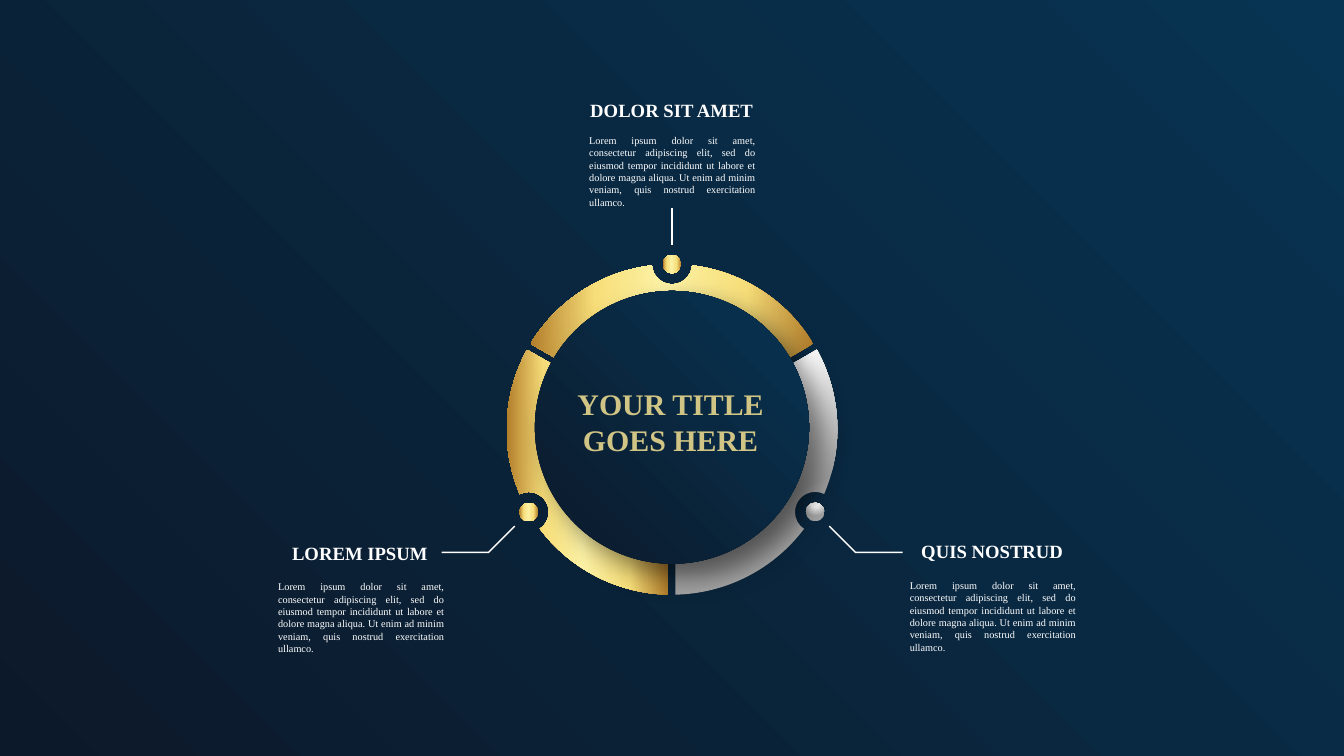
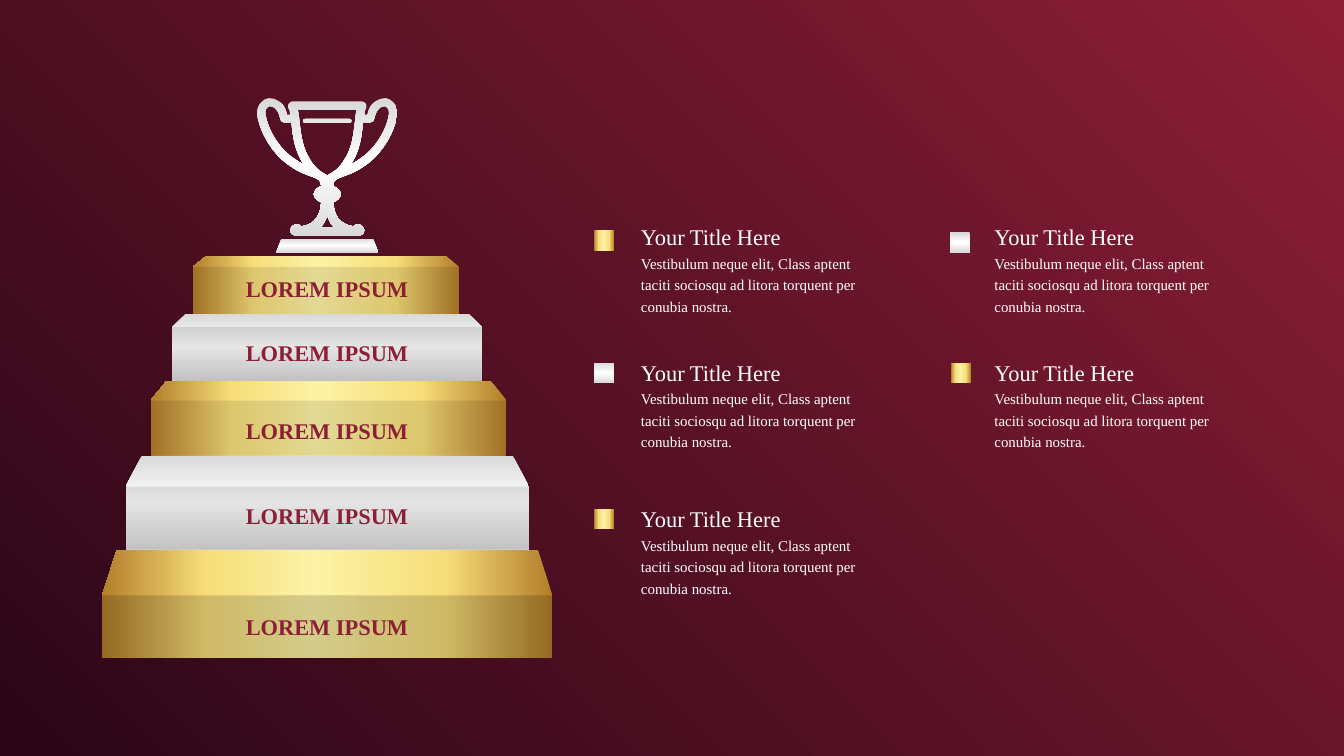
from math import cos, radians, sin, tan

from pptx import Presentation
from pptx.dml.color import RGBColor
from pptx.enum.shapes import MSO_CONNECTOR, MSO_SHAPE
from pptx.enum.text import MSO_ANCHOR, MSO_AUTO_SIZE, PP_ALIGN
from pptx.oxml import parse_xml
from pptx.oxml.ns import nsdecls, qn
from pptx.util import Inches, Pt

FONT = "Times New Roman"
COLORS = {
    "white": "FFFFFF", "black": "000000", "ash": "A5A5A5", "pale": "D9D9D9",
    "bronze": "B37E2A", "amber": "F7DE7A", "cream": "FCF2A5",
    "sand": "D1C585", "brown": "7E592B",
    "blue": "073453", "navy": "0C192A", "red": "8C1E35", "wine": "2A0617",
}
CORNER = '<a:path path="circle"><a:fillToRect l="100000" b="100000"/></a:path>'
ABOVE = ('<a:path path="circle"><a:fillToRect l="50000" t="-80000" '
         'r="50000" b="180000"/></a:path>')
ACROSS = '<a:lin ang="10800000" scaled="0"/>'
DOWN = '<a:lin ang="5400000" scaled="0"/>'
BLENDS = {
    "night": (CORNER, {0: "blue", 100: "navy"}),
    "velvet": (CORNER, {0: "red", 100: "wine"}),
    "straw": (CORNER, {0: "sand", 99: "brown"}),
    "gold": (ACROSS, {0: "bronze", 24: "amber", 53: "cream",
                      77: "amber", 100: "bronze"}),
    "silver": (DOWN, {0: "pale", 49: "white", 100: "pale"}),
    "steel": (ABOVE, {0: "white", 35: "white", 100: "ash"}),
}

LOREM = ("Lorem ipsum dolor sit amet, consectetur adipiscing elit, sed do eiusmod "
         "tempor incididunt ut labore et dolore magna aliqua. Ut enim ad minim "
         "veniam, quis nostrud exercitation ullamco.")
NOTE = ("Vestibulum neque elit, Class aptent taciti sociosqu ad litora torquent "
        "per conubia nostra.")

# Ring: centre, radius, half angle of a wedge, radii of notch and dot
HUB_X, HUB_Y, RADIUS = 10, 6.39, 2.46
HALF, NOTCH, DOT = 58.8, 0.3, 0.14

# Outlines are lists of steps: two numbers make a line, six a curve.
# The trophy is in hundredths of an inch right of its axis and below its top.
AXIS, TOP = 4.87, 1.46
BOWL = [(0, 115), (11, 110, 20, 102, 26, 91), (34, 79, 38, 63, 40, 46),
        (40, 44, 41, 41, 41, 38), (42, 31, 42, 24, 44, 17)]
OUTER = [(0, 205), (46, 205), (50, 205, 55, 202, 55, 197),
         (55, 192, 50, 188, 46, 188), (43, 188, 40, 189, 39, 191),
         (17, 188, 10, 173, 9, 155), (15, 153, 20, 148, 20, 143),
         (20, 138, 15, 133, 9, 131), (9, 121, 14, 120, 25, 116),
         (43, 110, 59, 100, 72, 87), (87, 71, 98, 52, 103, 31),
         (106, 19, 103, 10, 97, 5), (95, 2, 91, 1, 87, 0),
         (84, 0, 80, 1, 77, 2), (69, 5, 62, 12, 60, 25), (55, 25),
         (55, 21, 56, 16, 58, 14), (59, 11, 58, 8, 55, 6),
         (54, 5, 53, 5, 52, 5)]
FOOT = [(0, 174), (2, 181, 5, 187, 10, 192)]
SLOT = [(0, 31), (33, 31), (35, 31, 36, 32, 36, 34), (36, 35, 35, 37, 33, 37)]
HANDLE = [(53, 36), (53, 39), (53, 42, 52, 44, 52, 47), (50, 66, 45, 83, 36, 97),
          (36, 98, 36, 98, 35, 99), (46, 93, 56, 86, 64, 78),
          (77, 64, 87, 47, 91, 29), (93, 21, 92, 16, 89, 14),
          (88, 13, 87, 12, 86, 12), (84, 12, 83, 12, 81, 13),
          (76, 15, 72, 21, 70, 30), (70, 33, 68, 36, 65, 36)]


def paint(root, name, alpha=None):
    """Give the first solid fill under root a colour or blend by name."""
    old = next(root.iter(qn("a:solidFill")))
    if name in BLENDS:
        shade, stops = BLENDS[name]
        marks = "".join(
            f'<a:gs pos="{pos * 1000}"><a:srgbClr val="{COLORS[tone]}"/></a:gs>'
            for pos, tone in stops.items())
        new = (f'<a:gradFill {nsdecls("a")} rotWithShape="1">'
               f'<a:gsLst>{marks}</a:gsLst>{shade}</a:gradFill>')
    else:
        veil = f'<a:alpha val="{alpha * 1000}"/>' if alpha else ""
        new = (f'<a:solidFill {nsdecls("a")}><a:srgbClr val="{COLORS[name]}">'
               f'{veil}</a:srgbClr></a:solidFill>')
    old.getparent().replace(old, parse_xml(new))


def write(frame, text, size=11, color="white", bold=False, align=PP_ALIGN.LEFT,
          space=None, wrap=True, inset=None):
    frame.text = text
    frame.word_wrap = wrap
    frame.auto_size = MSO_AUTO_SIZE.SHAPE_TO_FIT_TEXT
    frame.vertical_anchor = MSO_ANCHOR.TOP
    if inset is not None:
        frame.margin_left = frame.margin_right = Inches(inset)
        frame.margin_top = frame.margin_bottom = Inches(inset)
    for para in frame.paragraphs:
        para.alignment = align
        para.line_spacing = space
        for run in para.runs:
            font = run.font
            font.name, font.size, font.bold = FONT, Pt(size), bold
            font.fill.solid()
            paint(run._r, color)


def arc(x, y, radius, start, end):
    """Steps of a circular arc in degrees, cut at each quarter turn."""
    low, high = sorted((start, end))
    cuts = [a for a in range(-360, 361, 90) if low < a < high]
    stops = sorted([start, *cuts, end], reverse=start > end)

    def spot(angle, pull=0):
        c, s = cos(radians(angle)), sin(radians(angle))
        return x + radius * (c - pull * s), y + radius * (s + pull * c)

    steps = [spot(start)]
    for a, b in zip(stops, stops[1:]):
        pull = 4 / 3 * tan(radians(b - a) / 4)
        steps.append((*spot(a, pull), *spot(b, -pull), *spot(b)))
    return steps


def pairs(step):
    return list(zip(step[::2], step[1::2]))


def mirror(steps):
    """The same steps walked backwards on the other side of the axis."""
    knots = [(-x, y) for step in steps for x, y in pairs(step)][::-1]
    result, at = [knots[0]], 1
    for step in steps[:0:-1]:
        count = len(step) // 2
        result.append(sum(knots[at:at + count], ()))
        at += count
    return result


def place(steps):
    """Trophy steps in inches on the slide."""
    return [sum(((AXIS + x / 100, TOP + y / 100) for x, y in pairs(step)), ())
            for step in steps]


class Deck:
    def __init__(self):
        self.file = Presentation()
        self.file.slide_width, self.file.slide_height = Inches(20), Inches(11.25)
        self.slide = None

    def page(self, back, layout):
        self.slide = self.file.slides.add_slide(self.file.slide_layouts[layout])
        self.slide.background.fill.solid()
        paint(self.slide.element, back)

    def title(self, text, left, top, width, height, **style):
        shape = self.slide.shapes.title
        shape.left, shape.top = Inches(left), Inches(top)
        shape.width, shape.height = Inches(width), Inches(height)
        write(shape.text_frame, text, **style)
        shape.element.getparent().append(shape.element)

    def text(self, text, left, top, width, height, **style):
        box = self.slide.shapes.add_textbox(
            Inches(left), Inches(top), Inches(width), Inches(height))
        write(box.text_frame, text, **style)

    def dress(self, shape, fill, alpha=None):
        shape.shadow.inherit = False
        shape.fill.solid()
        paint(shape.element, fill, alpha)
        shape.line.fill.background()
        return shape

    def shape(self, kind, left, top, width, height, fill):
        return self.dress(self.slide.shapes.add_shape(
            kind, Inches(left), Inches(top), Inches(width), Inches(height)), fill)

    def outline(self, loops, closed=True):
        pen = None
        for loop in loops:
            first, *rest = [(Inches(s[-2]), Inches(s[-1])) for s in loop]
            if pen is None:
                pen = self.slide.shapes.build_freeform(*first, scale=1.0)
            else:
                pen.move_to(*first)
            pen.add_line_segments(rest, close=closed)
        shape = pen.convert_to_shape()
        self.bend(shape, [step for loop in loops for step in loop[1:]])
        return shape

    def bend(self, shape, steps):
        """Turn the segments that have control points into curves."""
        for node, step in zip(list(shape.element.iter(qn("a:lnTo"))), steps):
            if len(step) == 6:
                knots = "".join(
                    f'<a:pt x="{Inches(x) - shape.left}" y="{Inches(y) - shape.top}"/>'
                    for x, y in pairs(step))
                node.getparent().replace(node, parse_xml(
                    f'<a:cubicBezTo {nsdecls("a")}>{knots}</a:cubicBezTo>'))

    def area(self, loops, fill, alpha=None):
        return self.dress(self.outline(loops), fill, alpha)

    def stroke(self, shape):
        shape.line.color.rgb = RGBColor.from_string(COLORS["white"])
        shape.line.width = Pt(1.5)

    def elbow(self, points):
        shape = self.outline([points], closed=False)
        shape.shadow.inherit = False
        shape.fill.background()
        self.stroke(shape)

    def line(self, x1, y1, x2, y2):
        line = self.slide.shapes.add_connector(
            MSO_CONNECTOR.STRAIGHT, Inches(x1), Inches(y1), Inches(x2), Inches(y2))
        self.stroke(line)
        line.element.spPr.append(parse_xml(f'<a:effectLst {nsdecls("a")}/>'))


def wedge(deck, angle, fill):
    """A third of the ring, notched at its middle to hold a dot."""
    turn = radians(angle)
    x, y = HUB_X + RADIUS * cos(turn), HUB_Y + RADIUS * sin(turn)
    tip = (HUB_X + 0.06 * cos(turn), HUB_Y + 0.06 * sin(turn))
    rim = [arc(HUB_X, HUB_Y, RADIUS, angle + a, angle + b)
           for a, b in ((-HALF, -7), (7, HALF))]
    bite = arc(x, y, NOTCH, angle - 93.5, angle - 266.5)
    deck.shape(MSO_SHAPE.OVAL, x - DOT, y - DOT, 2 * DOT, 2 * DOT, fill)
    deck.area([[tip, *rim[0], *bite[1:], *rim[1][1:]]], fill)


def ring(deck):
    deck.page("night", 5)
    for angle, fill in ((-90, "gold"), (150, "gold"), (30, "steel")):
        wedge(deck, angle, fill)
    core = deck.shape(MSO_SHAPE.OVAL, 7.96, 4.33, 4.08, 4.06, "night")
    core.element.spPr.find(qn("a:effectLst")).append(parse_xml(
        f'<a:outerShdw {nsdecls("a")} blurRad="{Pt(30)}" dist="{Pt(20)}" '
        f'dir="2700000" algn="tl" rotWithShape="0"><a:srgbClr val="{COLORS["black"]}">'
        '<a:alpha val="50000"/></a:srgbClr></a:outerShdw>'))
    for side in (1, -1):
        deck.elbow([(HUB_X + side * dx, y)
                    for dx, y in ((2.34, 7.83), (2.73, 8.22), (3.43, 8.22))])
    deck.line(HUB_X, 3.64, HUB_X, 3.09)
    for head, left, top, x, y in (("LOREM IPSUM", 4.02, 8.01, 4.04, 8.59),
                                  ("DOLOR SIT AMET", 8.66, 1.42, 8.67, 1.95),
                                  ("QUIS NOSTRUD", 13.43, 7.99, 13.44, 8.57)):
        deck.text(LOREM, x, y, 2.67, 1.03, align=PP_ALIGN.JUSTIFY)
        deck.text(head, left, top, 2.67, 0.44, size=20, bold=True,
                  align=PP_ALIGN.CENTER)
    deck.title("YOUR TITLE\nGOES HERE", 8.58, 5.74, 2.8, 1.08, size=32, bold=True,
               color="straw", align=PP_ALIGN.CENTER, wrap=False, inset=0)


def tier(deck, left, width, slant, top, lip, base, fill, shade):
    """A podium step: a slanted top and a darker front."""
    right = left + width
    front = [(right, lip), (right, base), (left, base), (left, lip)]
    deck.area([[(left + slant, top), (right - slant, top), *front]], fill)
    deck.area([front], "black", shade)


def trophy(deck):
    loops = [half + mirror(half) for half in (OUTER, BOWL, FOOT, SLOT)]
    loops += [HANDLE, mirror(HANDLE)]
    deck.area([place(loop) for loop in loops], "silver")
    deck.area([[(4.19, 3.55), (5.55, 3.55), (5.63, 3.76), (4.11, 3.76)]], "silver")


def podium(deck):
    deck.page("velvet", 6)
    tiers = ((1.87, 6, 0.24, 6.78, 7.24, 8.18, "silver", 10),
             (2.24, 5.3, 0.24, 5.67, 5.96, 6.78, "gold", 10),
             (2.56, 4.62, 0.2, 4.67, 4.87, 5.67, "silver", 10),
             (2.87, 3.96, 0.2, 3.81, 3.97, 4.67, "gold", 10),
             (1.52, 6.7, 0.22, 8.18, 8.86, 9.79, "gold", 16))
    for form in tiers:
        tier(deck, *form)
    trophy(deck)
    for top in (4.05, 4.99, 6.16, 7.42, 9.07):
        deck.text("LOREM IPSUM", 3.12, top, 3.49, 0.5, size=24, bold=True,
                  color="velvet", align=PP_ALIGN.CENTER)
    for left, top, x, y, fill in ((9.44, 3.19, 8.84, 3.43, "gold"),
                                  (9.44, 5.21, 8.84, 5.4, "silver"),
                                  (9.44, 7.39, 8.84, 7.58, "gold"),
                                  (14.7, 3.19, 14.13, 3.46, "silver"),
                                  (14.7, 5.21, 14.15, 5.4, "gold")):
        deck.text("Your Title Here", left, top, 3.73, 0.54, size=24, space=1.2)
        deck.text(NOTE, left, top + 0.49, 3.66, 1.07, size=16, space=1.2)
        deck.shape(MSO_SHAPE.RECTANGLE, x, y, 0.3, 0.3, fill)


def main():
    deck = Deck()
    ring(deck)
    podium(deck)
    deck.file.save("out.pptx")


if __name__ == "__main__":
    main()
